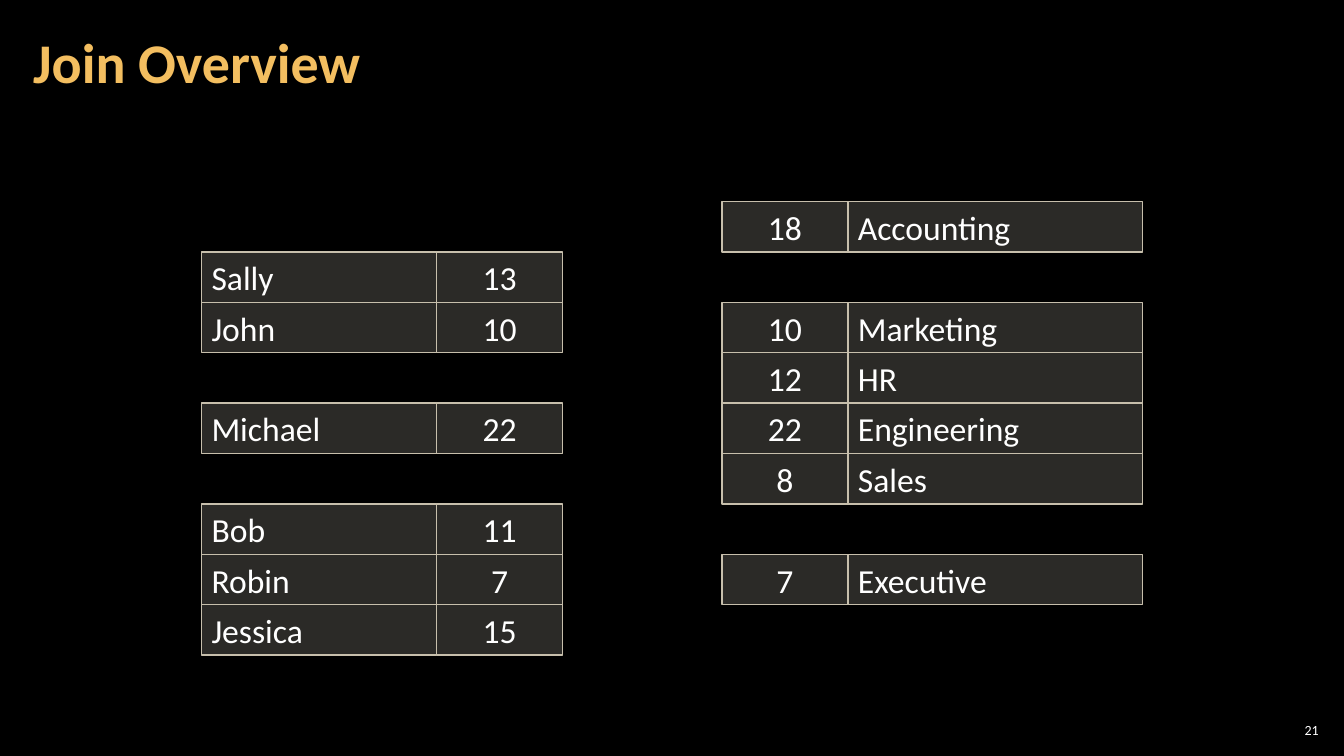
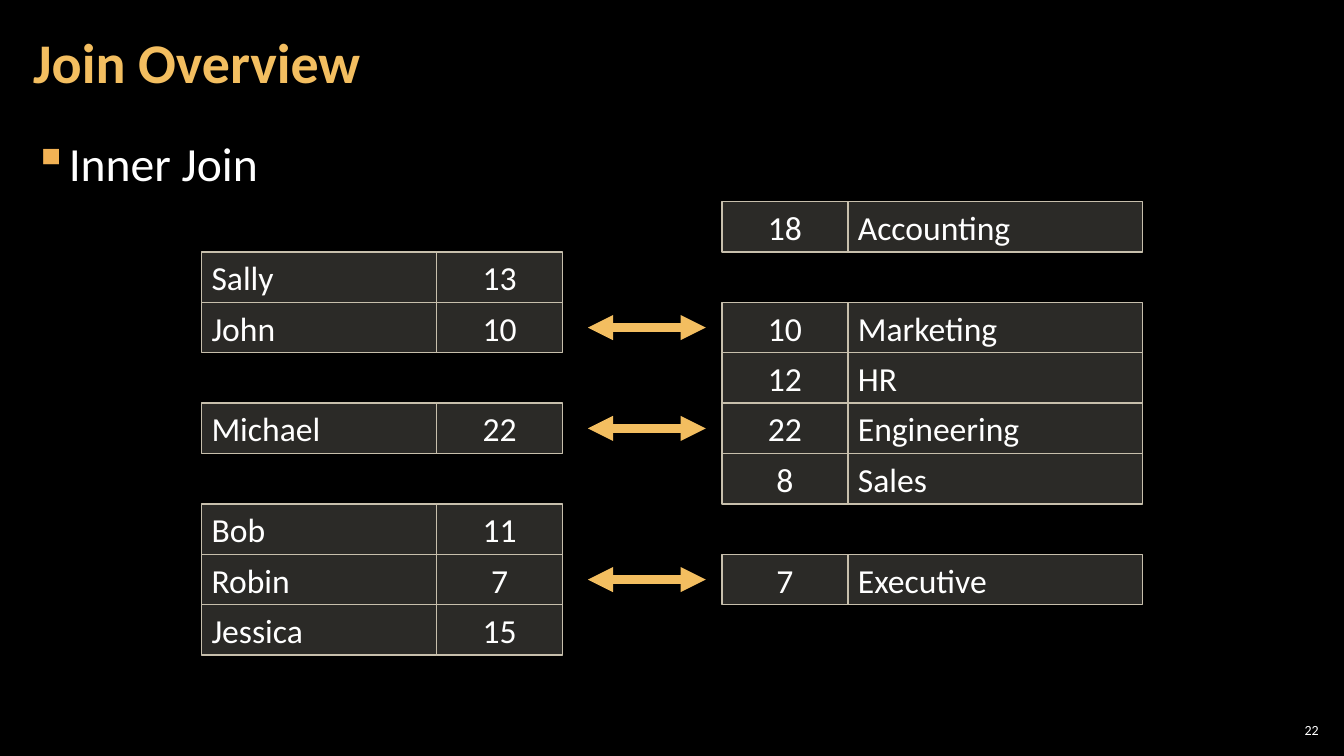
from lxml import etree
from pptx import Presentation
from pptx.dml.color import RGBColor
from pptx.enum import shapes, text
from pptx.oxml import ns
from pptx.util import Pt

PX = 9144  # 100 px to the inch
FONT = "Calibri"
BLACK = RGBColor(0x00, 0x00, 0x00)
WHITE = RGBColor(0xFF, 0xFF, 0xFF)
GOLD = RGBColor(0xF3, 0xBE, 0x60)
BULLET = "F2B254"
CELL_FILL = RGBColor(0xD9, 0xD5, 0xC7)
CELL_LINE = RGBColor(0xC7, 0xBF, 0xAC)

ROW_H = 50
NAME_X, NAME_W = 200, 233
ID_W = 125
DEPT_ID_X, DEPT_W = 716, 292
ARROW_X1, ARROW_X2 = 583, 700

# Each row: name, department id, top
EMPLOYEES = [("Sally", 13, 250), ("John", 10, 300), ("Michael", 22, 400),
             ("Bob", 11, 500), ("Robin", 7, 550), ("Jessica", 15, 600)]
DEPARTMENTS = [("Accounting", 18, 200), ("Marketing", 10, 300), ("HR", 12, 350),
               ("Engineering", 22, 400), ("Sales", 8, 450), ("Executive", 7, 550)]
SLIDES = [("21", None), ("22", "Inner Join")]


def add_text(sld, content, x, y, w, h, size, color=WHITE, bold=False, cell=False,
             align=text.PP_ALIGN.LEFT, anchor=text.MSO_ANCHOR.MIDDLE,
             inset=(12, 4), spacing=None):
    """Add a text box, or an outlined translucent rectangle if cell is set."""
    box = [v * PX for v in (x, y, w, h)]
    if cell:
        sp = sld.shapes.add_shape(shapes.MSO_SHAPE.RECTANGLE, *box)
        sp.shadow.inherit = False
        sp.fill.solid()
        sp.fill.fore_color.rgb = CELL_FILL
        clr = sp.fill._xPr.find(".//" + ns.qn("a:srgbClr"))
        etree.SubElement(clr, ns.qn("a:alpha"), val="20000")
        sp.line.color.rgb = CELL_LINE
        sp.line.width = Pt(1)
    else:
        sp = sld.shapes.add_textbox(*box)
    tf = sp.text_frame
    tf.word_wrap = True
    tf.vertical_anchor = anchor
    tf.margin_left = tf.margin_right = inset[0] * PX
    tf.margin_top = tf.margin_bottom = inset[1] * PX
    p = tf.paragraphs[0]
    p.alignment = align
    if spacing:
        p.line_spacing = spacing
    r = p.add_run()
    r.text = content
    r.font.name, r.font.size, r.font.bold = FONT, Pt(size), bold
    r.font.color.rgb = color
    return p


def add_double_arrow(sld, y):
    ln = sld.shapes.add_connector(shapes.MSO_CONNECTOR.STRAIGHT,
                                  ARROW_X1 * PX, y * PX, ARROW_X2 * PX, y * PX)
    ln.line.color.rgb = GOLD
    ln.line.width = Pt(6)
    line_xml = ln.line._get_or_add_ln()
    for end in ("a:headEnd", "a:tailEnd"):
        etree.SubElement(line_xml, ns.qn(end), type="triangle")
    etree.SubElement(line_xml.getparent(), ns.qn("a:effectLst"))


prs = Presentation()
prs.slide_width, prs.slide_height = 1333 * PX, 750 * PX
bg = prs.slide_master.background.fill
bg.solid()
bg.fore_color.rgb = BLACK

cell_style = dict(size=24, cell=True, inset=(10, 5))
center = text.PP_ALIGN.CENTER

for number, join_type in SLIDES:
    s = prs.slides.add_slide(prs.slide_layouts[6])
    add_text(s, number, 1265, 714, 47, 21, 10, align=text.PP_ALIGN.RIGHT, inset=(4, 4))
    add_text(s, "Join Overview", 21, 4, 1047, 121, 40, GOLD, bold=True, spacing=0.9)

    for name, dept_id, y in EMPLOYEES:
        add_text(s, name, NAME_X, y, NAME_W, ROW_H, **cell_style)
        add_text(s, str(dept_id), NAME_X + NAME_W, y, ID_W, ROW_H, align=center, **cell_style)
    for dept, dept_id, y in DEPARTMENTS:
        add_text(s, str(dept_id), DEPT_ID_X, y, ID_W, ROW_H, align=center, **cell_style)
        add_text(s, dept, DEPT_ID_X + ID_W, y, DEPT_W, ROW_H, **cell_style)

    if join_type:
        p = add_text(s, join_type, 21, 126, 1291, 609, 34,
                     anchor=text.MSO_ANCHOR.TOP, spacing=1.05)
        p.space_before = p.space_after = Pt(6)
        pPr = p._p.get_or_add_pPr()
        pPr.set("marL", str(33 * PX))
        pPr.set("indent", str(-33 * PX))
        bu_clr = etree.SubElement(pPr, ns.qn("a:buClr"))
        etree.SubElement(bu_clr, ns.qn("a:srgbClr"), val=BULLET)
        etree.SubElement(pPr, ns.qn("a:buChar"), char="▪")

        # An arrow joins each row whose department id is on both sides
        known_ids = {dept_id for _, dept_id, _ in DEPARTMENTS}
        for _, dept_id, y in EMPLOYEES:
            if dept_id in known_ids:
                add_double_arrow(s, y + ROW_H // 2)

prs.save("out.pptx")
